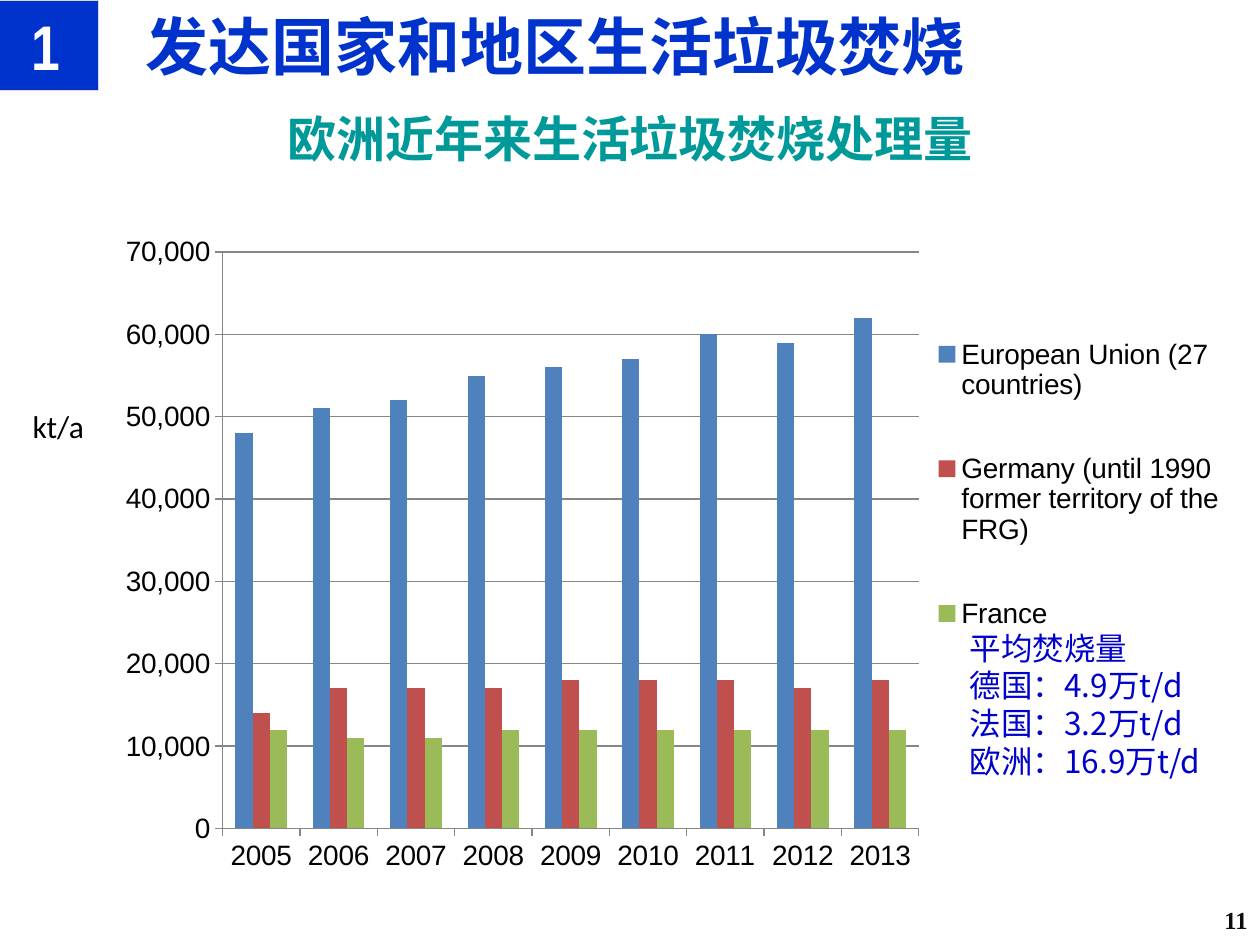
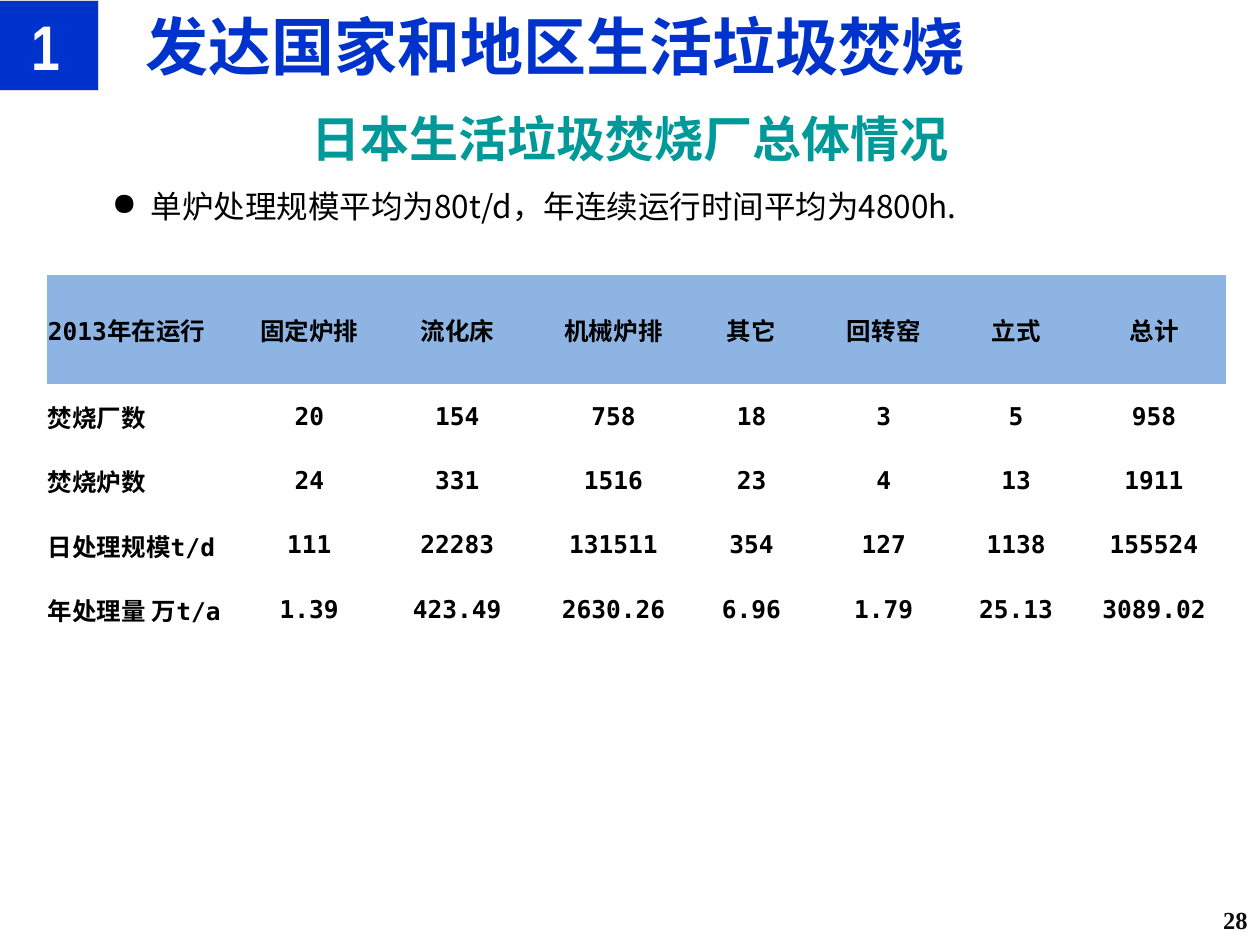
"""Build two slides on household waste incineration in Europe and Japan."""
from dataclasses import dataclass
from typing import Any, NamedTuple

import lxml.etree
import pptx
import pptx.chart.data
import pptx.dml.color
import pptx.enum.chart
import pptx.enum.shapes
import pptx.enum.text
import pptx.oxml.ns
import pptx.util

COLORS = {
    "blue": "0033CC", "note": "0000CC", "teal": "009999", "white": "FFFFFF",
    "black": "000000", "number": "0D0D0D", "border": "D9D9D9", "header": "8DB4E2",
    "axis": "868686", "union": "4F81BD", "germany": "C0504D", "france": "9BBB59",
}
CJK_FONT = "Noto Sans CJK SC"
GRID_COLUMNS, GRID_ROWS = 100, 75
SLIDE_WIDTH, SLIDE_HEIGHT = pptx.util.Inches(10), pptx.util.Inches(7.5)
ALIGN = pptx.enum.text.PP_ALIGN
ANCHOR = pptx.enum.text.MSO_ANCHOR


class Box(NamedTuple):
    """A place on the slide in grid columns and rows."""
    column: float
    row: float
    columns: float
    rows: float


@dataclass(frozen=True)
class TextStyle:
    """The look of the paragraphs in one text frame."""
    size: float
    color: str
    font: str = CJK_FONT
    bold: bool = False
    align: Any = ALIGN.LEFT
    line_spacing: float = 1.0
    bullet: str = ""


@dataclass(frozen=True)
class Label:
    """A text box with its lines and style."""
    box: Box
    lines: tuple[str, ...]
    style: TextStyle
    anchor: Any = ANCHOR.TOP
    wrap: bool = True


class Series(NamedTuple):
    """One chart series, in thousands of kilotonnes a year."""
    name: str
    color: str
    values: tuple[int, ...]


SECTION_BOX = Box(-0.6, 0, 8.4, 7.2)
SECTION_STYLE = TextStyle(36, "white", "Arial Narrow", True, ALIGN.CENTER)
TITLE_STYLE = TextStyle(36, "blue", bold=True)
SUBTITLE_STYLE = TextStyle(28, "teal", "Times New Roman", True, ALIGN.CENTER, 1.1)
NUMBER_STYLE = TextStyle(14, "number", "Times New Roman", True, ALIGN.RIGHT)

YEARS = [str(year) for year in range(2005, 2014)]
CHART_BOX = Box(7.7, 17.9, 90.6, 52.6)
PLOT_SHARES = Box(0.11, 0.04, 0.61, 0.87)
LEGEND_SHARES = Box(0.72, 0.09, 0.28, 0.6)
INCINERATION = (
    Series("European Union (27 countries)", "union", (48, 51, 52, 55, 56, 57, 60, 59, 62)),
    Series("Germany (until 1990 former territory of the FRG)", "germany",
           (14, 17, 17, 17, 18, 18, 18, 17, 18)),
    Series("France", "france", (12, 11, 11, 12, 12, 12, 12, 12, 12)),
)
EUROPE_LABELS = (
    Label(Box(1.6, 31.8, 6.1, 4), ("kt/a",), TextStyle(18, "black", "Calibri"), wrap=False),
    Label(Box(76, 49.4, 21, 13.1),
          ("平均焚烧量", "德国：4.9万t/d", "法国：3.2万t/d", "欧洲：16.9万t/d"),
          TextStyle(18, "note")),
)
JAPAN_BULLET = Label(
    Box(7.9, 13.6, 85, 4.3), ("单炉处理规模平均为80t/d，年连续运行时间平均为4800h.",),
    TextStyle(18, "black", line_spacing=1.25, bullet="●"))

TABLE_PLACE = (3.7, 21.8)
TABLE_COLUMNS = (15.8, 10.1, 13.4, 11.4, 10.5, 10.5, 10.5, 11.4)
TABLE_ROWS = (8.7,) + (5.1,) * 4
FURNACES = (
    ("2013年在运行", "固定炉排", "流化床", "机械炉排", "其它", "回转窑", "立式", "总计"),
    ("焚烧厂数", "20", "154", "758", "18", "3", "5", "958"),
    ("焚烧炉数", "24", "331", "1516", "23", "4", "13", "1911"),
    ("日处理规模t/d", "111", "22283", "131511", "354", "127", "1138", "155524"),
    ("年处理量 万t/a", "1.39", "423.49", "2630.26", "6.96", "1.79", "25.13", "3089.02"),
)


def across(columns: float) -> int:
    """Turn grid columns into a length."""
    return round(SLIDE_WIDTH * columns / GRID_COLUMNS)


def down(rows: float) -> int:
    """Turn grid rows into a length."""
    return round(SLIDE_HEIGHT * rows / GRID_ROWS)


def place(box: Box) -> tuple[int, int, int, int]:
    """Turn a grid box into left, top, width and height."""
    return across(box.column), down(box.row), across(box.columns), down(box.rows)


def rgb(name: str) -> pptx.dml.color.RGBColor:
    """Look up a colour by name."""
    return pptx.dml.color.RGBColor.from_string(COLORS[name])


def add_child(parent: Any, tag: str, **attributes: str) -> Any:
    """Append an XML child with the given attributes."""
    return lxml.etree.SubElement(parent, pptx.oxml.ns.qn(tag), attributes)


def style_font(font: Any, style: TextStyle) -> None:
    """Apply size, colour, typeface and weight to a font."""
    font.size = pptx.util.Pt(style.size)
    font.bold = style.bold
    font.name = style.font
    font.color.rgb = rgb(style.color)


def write(frame: Any, lines: tuple[str, ...], style: TextStyle) -> None:
    """Write styled paragraphs into a text frame."""
    for index, line in enumerate(lines):
        paragraph = frame.paragraphs[0] if index == 0 else frame.add_paragraph()
        paragraph.text = line
        paragraph.alignment = style.align
        paragraph.line_spacing = style.line_spacing
        if style.bullet:
            properties = paragraph._p.get_or_add_pPr()
            indent = across(3.1)
            properties.set("marL", str(indent))
            properties.set("indent", str(-indent))
            add_child(properties, "a:buChar", char=style.bullet)
        style_font(paragraph.font, style)
        for run in paragraph.runs:
            add_child(run._r.get_or_add_rPr(), "a:ea", typeface=CJK_FONT)


def add_label(slide: Any, label: Label) -> None:
    """Draw a text box."""
    frame = slide.shapes.add_textbox(*place(label.box)).text_frame
    frame.word_wrap = label.wrap
    frame.vertical_anchor = label.anchor
    write(frame, label.lines, label.style)


def add_section_number(slide: Any, number: str) -> None:
    """Draw the section number in its blue square."""
    shape = slide.shapes.add_shape(
        pptx.enum.shapes.MSO_SHAPE.RECTANGLE, *place(SECTION_BOX))
    shape.shadow.inherit = False
    shape.fill.solid()
    shape.fill.fore_color.rgb = rgb("blue")
    shape.line.color.rgb = rgb("border")
    shape.line.width = pptx.util.Pt(0.75)
    frame = shape.text_frame
    frame.margin_left = frame.margin_right = across(0.4)
    frame.vertical_anchor = ANCHOR.MIDDLE
    write(frame, (number,), SECTION_STYLE)


def add_base_slide(presentation: Any, subtitle: str, number: int) -> Any:
    """Add a slide with the shared heading and page number."""
    slide = presentation.slides.add_slide(presentation.slide_layouts[6])
    add_section_number(slide, "1")
    for box, text, style in (
        (Box(10.6, 0, 89.4, 7.2), "发达国家和地区生活垃圾焚烧", TITLE_STYLE),
        (Box(0, 7.6, 100, 6.2), subtitle, SUBTITLE_STYLE),
        (Box(88.3, 71, 11.7, 4), str(number), NUMBER_STYLE),
    ):
        add_label(slide, Label(box, (text,), style, ANCHOR.MIDDLE))
    return slide


def set_layout(parent: Any, index: int, shares: Box, inner: bool = False) -> None:
    """Fix a chart part to shares of the chart's size."""
    for old_layout in parent.findall(pptx.oxml.ns.qn("c:layout")):
        parent.remove(old_layout)
    layout = add_child(parent, "c:layout")
    parent.insert(index, layout)
    manual = add_child(layout, "c:manualLayout")
    if inner:
        add_child(manual, "c:layoutTarget", val="inner")
    for tag in ("c:xMode", "c:yMode"):
        add_child(manual, tag, val="edge")
    for tag, share in zip(("c:x", "c:y", "c:w", "c:h"), shares):
        add_child(manual, tag, val=str(share))


def add_incineration_chart(slide: Any) -> None:
    """Draw the clustered columns of yearly incineration."""
    data = pptx.chart.data.CategoryChartData(number_format="#,##0")
    data.categories = YEARS
    for series in INCINERATION:
        data.add_series(series.name, [value * 1000 for value in series.values])
    chart = slide.shapes.add_chart(
        pptx.enum.chart.XL_CHART_TYPE.COLUMN_CLUSTERED, *place(CHART_BOX), data).chart
    chart.has_title = False
    style_font(chart.font, TextStyle(16, "black", "Arial"))
    plot = chart.plots[0]
    plot.gap_width, plot.overlap = 150, 0
    plot.vary_by_categories = False
    for drawn, series in zip(plot.series, INCINERATION):
        drawn.format.fill.solid()
        drawn.format.fill.fore_color.rgb = rgb(series.color)
    for axis in (chart.category_axis, chart.value_axis):
        axis.major_tick_mark = pptx.enum.chart.XL_TICK_MARK.OUTSIDE
        axis.format.line.color.rgb = rgb("axis")
    value_axis = chart.value_axis
    value_axis.minimum_scale, value_axis.maximum_scale = 0, 70000
    value_axis.major_unit = 10000
    value_axis.major_gridlines.format.line.color.rgb = rgb("axis")
    value_axis.tick_labels.number_format = "#,##0"
    value_axis.tick_labels.number_format_is_linked = False
    chart.has_legend = True
    chart.legend.position = pptx.enum.chart.XL_LEGEND_POSITION.RIGHT
    chart.legend.include_in_layout = False
    set_layout(chart.element.find(".//" + pptx.oxml.ns.qn("c:plotArea")), 0,
               PLOT_SHARES, inner=True)
    set_layout(chart.element.find(".//" + pptx.oxml.ns.qn("c:legend")), 1, LEGEND_SHARES)


def add_furnace_table(slide: Any) -> None:
    """Draw the table of plants by furnace type."""
    box = Box(*TABLE_PLACE, sum(TABLE_COLUMNS), sum(TABLE_ROWS))
    frame = slide.shapes.add_table(len(TABLE_ROWS), len(TABLE_COLUMNS), *place(box))
    table = frame.table
    table.first_row = table.horz_banding = False
    for style_id in frame.element.iter(pptx.oxml.ns.qn("a:tableStyleId")):
        style_id.text = "{2D5ABB26-0587-4C30-8999-92F81FD0307C}"
    for column, columns in zip(table.columns, TABLE_COLUMNS):
        column.width = across(columns)
    for row, rows in zip(table.rows, TABLE_ROWS):
        row.height = down(rows)
    for row_index, texts in enumerate(FURNACES):
        for column_index, text in enumerate(texts):
            cell = table.cell(row_index, column_index)
            cell.margin_left = cell.margin_right = cell.margin_top = across(0.1)
            cell.margin_bottom = 0
            cell.vertical_anchor = ANCHOR.MIDDLE
            if row_index == 0:
                cell.fill.solid()
                cell.fill.fore_color.rgb = rgb("header")
            else:
                cell.fill.background()
            align = ALIGN.CENTER if column_index else ALIGN.LEFT
            write(cell.text_frame, (text,),
                  TextStyle(14, "black", "DejaVu Sans Mono", True, align))


def main() -> None:
    """Build and save the presentation."""
    presentation = pptx.Presentation()
    presentation.slide_width, presentation.slide_height = SLIDE_WIDTH, SLIDE_HEIGHT
    europe = add_base_slide(presentation, "欧洲近年来生活垃圾焚烧处理量", 11)
    add_incineration_chart(europe)
    for label in EUROPE_LABELS:
        add_label(europe, label)
    japan = add_base_slide(presentation, "日本生活垃圾焚烧厂总体情况", 28)
    add_label(japan, JAPAN_BULLET)
    add_furnace_table(japan)
    presentation.save("out.pptx")


if __name__ == "__main__":
    main()
